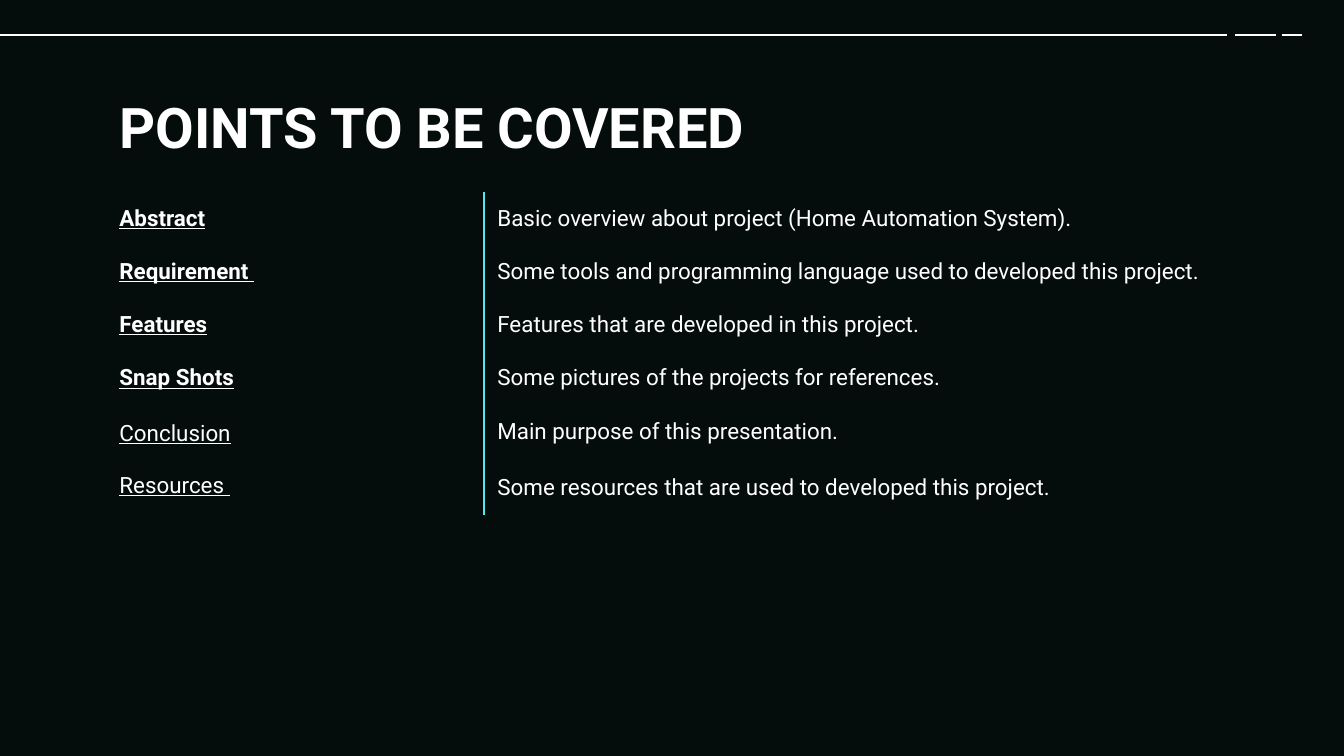
from pptx import Presentation
from pptx import util as u
from pptx.dml.color import RGBColor
from pptx.enum import shapes, text
from lxml import etree
from pptx.oxml import ns

DARK = RGBColor(0x04, 0x0D, 0x0B)
WHITE = RGBColor(0xFF, 0xFF, 0xFF)
CYAN = RGBColor(0x56, 0xE8, 0xE8)
FONT = "Roboto"
WIDE, HIGH = 1344, 756
SCALE = u.Inches(10) / WIDE

# Each row pairs the topics on the left with the details on the right.
ROWS = [
    (["Abstract"], ["Basic overview about project (Home Automation System)."]),
    (["Requirement "], ["Some tools and programming language used to developed this project."]),
    (["Features"], ["Features that are developed in this project."]),
    (["Snap Shots"], ["Some pictures of the projects for references."]),
    (["Conclusion", "Resources "],
     ["Main purpose of this presentation.",
      "Some resources that are used to developed this project."]),
]


def px(count):
    return u.Emu(round(count * SCALE))


def add_run(para, words, size, bold=False, under=False):
    run = para.add_run()
    run.text = words
    font = run.font
    font.name, font.size = FONT, u.Pt(size)
    font.bold, font.underline = bold, under
    font.color.rgb = WHITE


def add_rule(slide, left, top, width):
    """Draw the broken line along the top edge."""
    for start, end in ((0, 1227), (1235, 1276), (1282, 1302)):
        line = slide.shapes.add_connector(
            shapes.MSO_CONNECTOR.STRAIGHT,
            px(left + start * width / 1302), px(top),
            px(left + end * width / 1302), px(top))
        line.line.color.rgb = WHITE
        line.line.width = u.Pt(0.75)
        etree.SubElement(line._element.spPr, ns.qn("a:effectLst"))


def add_title(slide, left, top, width, height):
    title = slide.shapes.title
    title.left, title.top = px(left), px(top)
    title.width, title.height = px(width), px(height)
    frame = title.text_frame
    frame.auto_size = text.MSO_AUTO_SIZE.NONE
    frame.word_wrap = True
    frame.vertical_anchor = text.MSO_ANCHOR.TOP
    frame.margin_left = frame.margin_right = u.Inches(0.1)
    frame.margin_top = frame.margin_bottom = u.Inches(0.1)
    para = frame.paragraphs[0]
    para.alignment = text.PP_ALIGN.LEFT
    add_run(para, "POINTS TO BE COVERED", 30, bold=True)


def set_edges(cell, shown):
    """Show one side of the cell in cyan and hide the others."""
    props = cell._tc.get_or_add_tcPr()
    for at, side in enumerate(("lnL", "lnR", "lnT", "lnB")):
        edge = etree.Element(ns.qn("a:" + side), w=str(u.Pt(0.75)))
        if side == shown:
            fill = etree.SubElement(edge, ns.qn("a:solidFill"))
            etree.SubElement(fill, ns.qn("a:srgbClr"), val=str(CYAN))
        else:
            etree.SubElement(edge, ns.qn("a:noFill"))
        props.insert(at, edge)


def fill_cell(cell, lines, gap, shown, bold, under):
    cell.fill.background()
    cell.vertical_anchor = text.MSO_ANCHOR.MIDDLE
    cell.margin_left = cell.margin_right = u.Inches(0.1)
    cell.margin_top = cell.margin_bottom = u.Inches(0.1)
    set_edges(cell, shown)
    frame = cell.text_frame
    for at, words in enumerate(lines):
        para = frame.add_paragraph() if at else frame.paragraphs[0]
        if at < len(lines) - 1:
            para.space_after = u.Pt(gap)
        add_run(para, words, 12, bold, under)


def add_topics(slide, left, top, width, height):
    table = slide.shapes.add_table(
        len(ROWS), 2, px(left), px(top), px(width), px(height)).table
    table.first_row = table.horz_banding = False
    split = round(width / 3)
    table.columns[0].width = px(split)
    table.columns[1].width = px(width - split)
    row_high = 53
    for at, (topics, details) in enumerate(ROWS):
        last = at == len(ROWS) - 1
        table.rows[at].height = px(height - at * row_high if last else row_high)
        fill_cell(table.cell(at, 0), topics, 14, "lnR", not last, True)
        fill_cell(table.cell(at, 1), details, 16, "lnL", False, False)


def main():
    deck = Presentation()
    deck.slide_width, deck.slide_height = px(WIDE), px(HIGH)
    slide = deck.slides.add_slide(deck.slide_layouts[5])
    slide.background.fill.solid()
    slide.background.fill.fore_color.rgb = DARK
    add_rule(slide, 0, 35, 1302)
    add_title(slide, 106, 79, 1133, 85)
    add_topics(slide, 106, 192, 1133, 322)
    deck.save("out.pptx")


if __name__ == "__main__":
    main()
